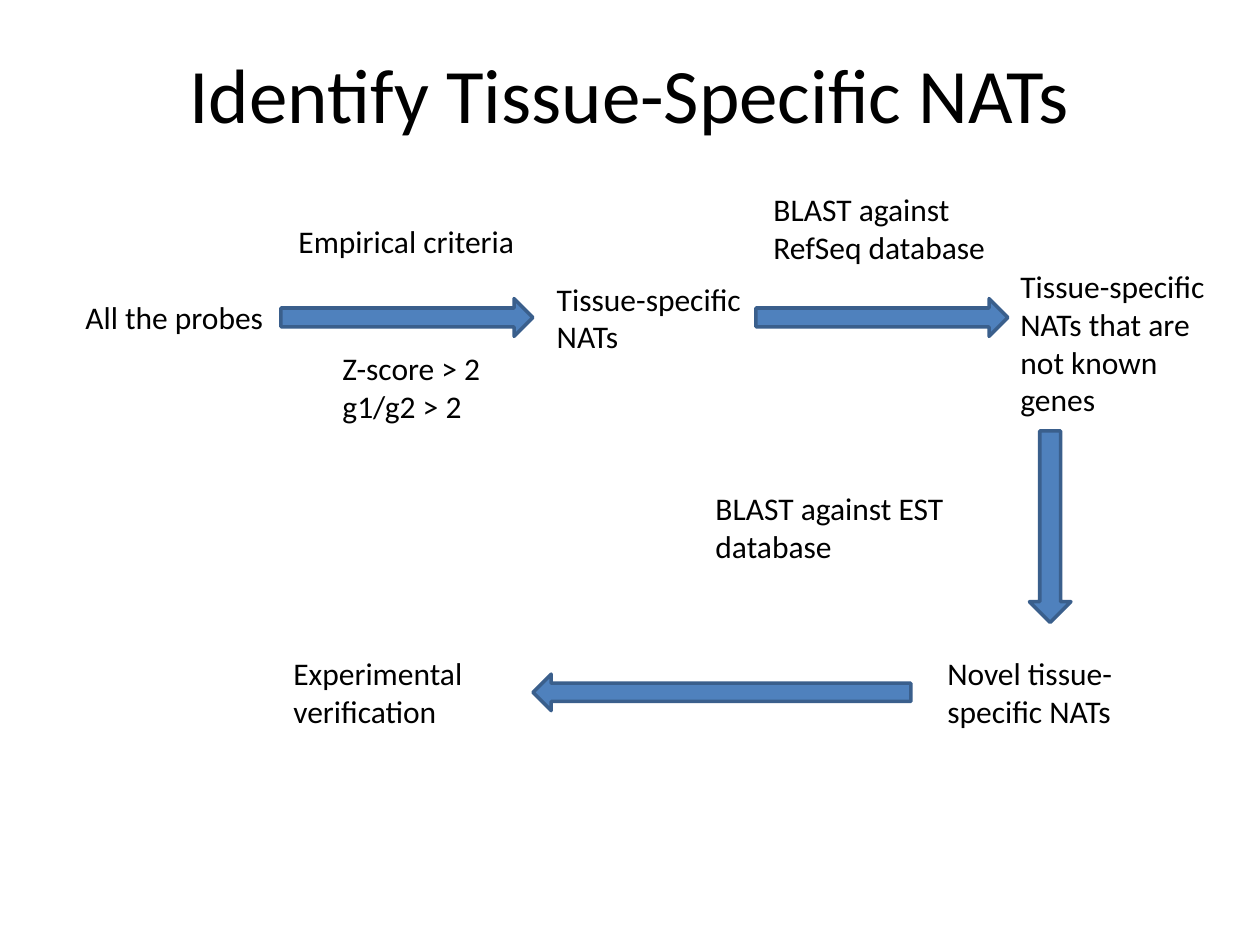
from pptx import Presentation
from pptx.dml.color import RGBColor
from pptx.enum.shapes import MSO_SHAPE as SHAPE
from pptx.enum.text import MSO_ANCHOR as ANCHOR, MSO_AUTO_SIZE as AUTO, PP_ALIGN as ALIGN
from pptx.util import Inches, Pt

COLORS = {"text": "000000", "arrow": "4F81BD", "edge": "3A5F8C"}
FONT = "Calibri"
TITLE = "Identify Tissue-Specific NATs"

# Each entry: text, (left, top, width), paragraph level
STAGES = [
    ("All the probes", (0.58, 2.32, 1.83), 0),
    ("Tissue-specific NATs", (4.32, 2.17, 1.75), 0),
    ("Tissue-specific NATs that are not known genes", (8, 2.07, 1.68), 0),
    ("Novel tissue-specific NATs", (7.42, 5.14, 1.83), 0),
    ("Experimental verification", (2.23, 5.14, 1.58), 0),
]
CRITERIA = [
    ("Empirical criteria ", (2.27, 1.71, 1.92), 0),
    ("Z-score > 2 \ng1/g2 > 2", (2.12, 2.72, 1.8), 1),
    ("BLAST against RefSeq database ", (6.04, 1.46, 1.92), 0),
    ("BLAST against EST database", (5.58, 3.83, 2.58), 0),
]
# Each entry: direction, (left, top, width, height)
ARROWS = [
    (SHAPE.RIGHT_ARROW, (2.23, 2.37, 2, 0.3)),
    (SHAPE.RIGHT_ARROW, (6, 2.37, 2, 0.3)),
    (SHAPE.DOWN_ARROW, (8.17, 3.42, 0.33, 1.52)),
    (SHAPE.LEFT_ARROW, (4.23, 5.35, 3, 0.29)),
]
# Box height by number of text lines
HEIGHTS = {1: 0.4, 2: 0.71, 4: 1.31}


def color(name):
    """Return a named colour of the palette."""
    return RGBColor.from_string(COLORS[name])


def write(frame, text, size=18, align=ALIGN.LEFT, anchor=ANCHOR.TOP, level=0):
    """Fill a text frame, one paragraph per line of text."""
    frame.word_wrap = True
    frame.vertical_anchor = anchor
    frame.text = text
    for paragraph in frame.paragraphs:
        paragraph.alignment = align
        paragraph.level = level
        for run in paragraph.runs:
            run.font.name = FONT
            run.font.size = Pt(size)
            run.font.color.rgb = color("text")


def add_label(slide, text, place, level):
    """Add a text box as tall as its wrapped text."""
    lines = 1 if len(text) < 20 and "\n" not in text else 2 if len(text) < 40 else 4
    box = slide.shapes.add_textbox(*map(Inches, (*place, HEIGHTS[lines])))
    write(box.text_frame, text, level=level)
    box.text_frame.auto_size = AUTO.SHAPE_TO_FIT_TEXT


def add_arrow(slide, direction, place):
    """Add a block arrow between two stages."""
    arrow = slide.shapes.add_shape(direction, *map(Inches, place))
    arrow.shadow.inherit = False
    arrow.fill.solid()
    arrow.fill.fore_color.rgb = color("arrow")
    arrow.line.color.rgb = color("edge")
    arrow.line.width = Pt(2)


deck = Presentation()
deck.slide_width, deck.slide_height = Inches(10), Inches(7.5)
slide = deck.slides.add_slide(deck.slide_layouts[5])

title = slide.shapes.title
title.left, title.top, title.width, title.height = map(Inches, (0.5, 0.3, 9, 0.87))
write(title.text_frame, TITLE, size=44, align=ALIGN.CENTER, anchor=ANCHOR.MIDDLE)

for direction, place in ARROWS:
    add_arrow(slide, direction, place)
for text, place, level in STAGES + CRITERIA:
    add_label(slide, text, place, level)

deck.save("out.pptx")
